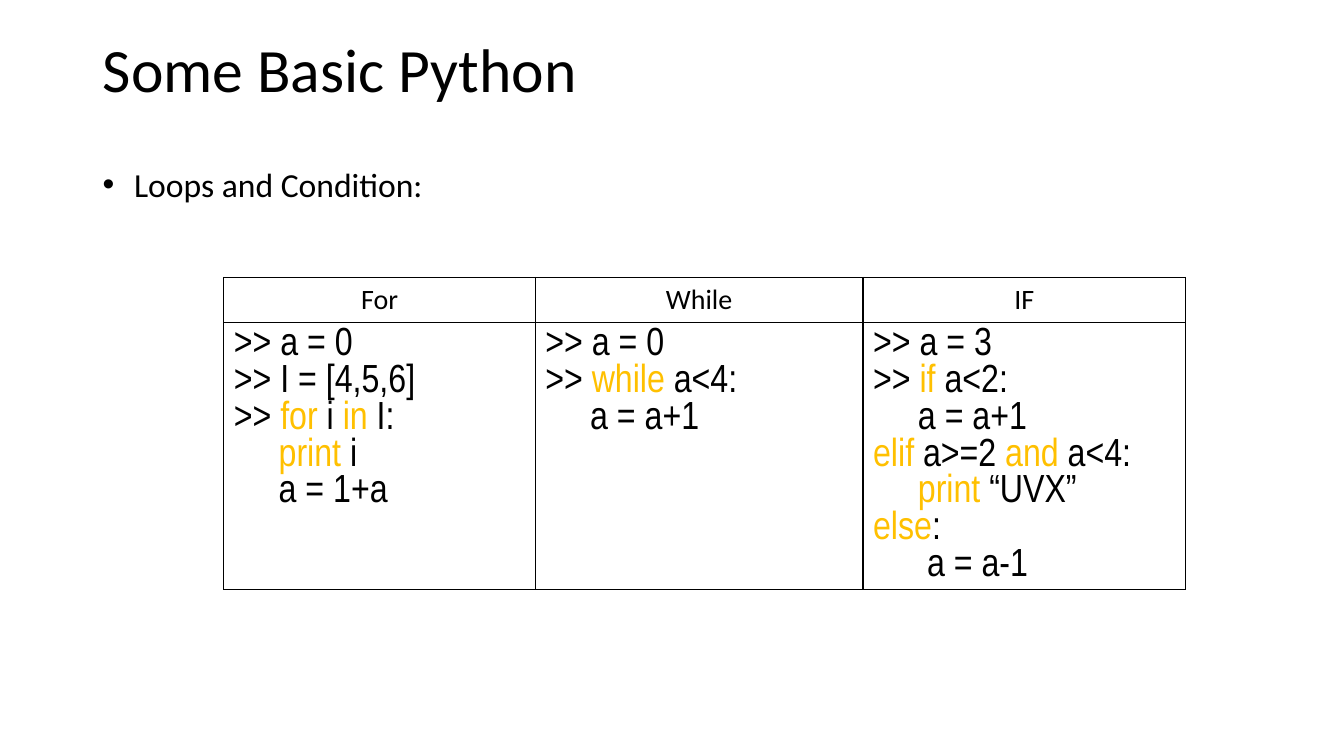
from lxml.etree import SubElement
from pptx import Presentation
from pptx.dml.color import RGBColor
from pptx.enum.text import MSO_ANCHOR, MSO_AUTO_SIZE, PP_ALIGN
from pptx.oxml.ns import qn
from pptx.util import Cm, Pt

COLORS = {"text": "000000", "keyword": "FFC000", "border": "000000"}
HEADING_FONT = "Calibri"
CODE_FONT = "Arial Narrow"
KEYWORD_MARK = "|"
COLUMN_WIDTHS = (7.85, 8.26, 8.13)
ROW_HEIGHTS = (1.13, 6.73)
STEP = 1.13
DEEP_STEP = 1.36

EXAMPLES = {
    "For": [
        (0, ">> a = 0"),
        (0, ">> I = [4,5,6]"),
        (0, ">> |for |i |in| I:"),
        (STEP, "|print |i"),
        (STEP, "a = 1+a"),
    ],
    "While": [
        (0, ">> a = 0"),
        (0, ">> |while| a<4:"),
        (STEP, "a = a+1"),
    ],
    "IF": [
        (0, ">> a = 3"),
        (0, ">> |if| a<2:"),
        (STEP, "a = a+1"),
        (0, "|elif| a>=2 |and| a<4:"),
        (STEP, "|print| “UVX”"),
        (0, "|else|:"),
        (DEEP_STEP, "a = a-1"),
    ],
}


def add_run(paragraph, text, size, font_name, color="text"):
    run = paragraph.add_run()
    run.text = text
    run.font.size = Pt(size)
    run.font.name = font_name
    run.font.color.rgb = RGBColor.from_string(COLORS[color])


def set_indent(paragraph, left, first=0):
    properties = paragraph._p.get_or_add_pPr()
    properties.set("marL", str(Cm(left)))
    properties.set("indent", str(Cm(first)))
    return properties


def place_title(slide, left, top, width, height):
    title = slide.shapes.title
    title.left, title.top, title.width, title.height = map(Cm, (left, top, width, height))
    frame = title.text_frame
    frame.vertical_anchor = MSO_ANCHOR.MIDDLE
    paragraph = frame.paragraphs[0]
    paragraph.alignment = PP_ALIGN.LEFT
    paragraph.line_spacing = 0.9
    add_run(paragraph, "Some Basic Python", 44, HEADING_FONT)


def add_topic(slide, left, top, width, height):
    box = slide.shapes.add_textbox(*map(Cm, (left, top, width, height)))
    frame = box.text_frame
    frame.word_wrap = False
    frame.auto_size = MSO_AUTO_SIZE.SHAPE_TO_FIT_TEXT
    paragraph = frame.paragraphs[0]
    properties = set_indent(paragraph, 0.79, -0.79)
    SubElement(properties, qn("a:buFont"), typeface="Arial")
    SubElement(properties, qn("a:buChar"), char="•")
    add_run(paragraph, "Loops and Condition:", 24, HEADING_FONT)


def format_cell(cell):
    cell.fill.background()
    properties = cell._tc.get_or_add_tcPr()
    for position, side in enumerate(("lnL", "lnR", "lnT", "lnB")):
        line = SubElement(properties, qn(f"a:{side}"), w=str(Pt(1)))
        fill = SubElement(line, qn("a:solidFill"))
        SubElement(fill, qn("a:srgbClr"), val=COLORS["border"])
        properties.insert(position, line)


def write_code(frame, lines):
    for index, (indent, line) in enumerate(lines):
        paragraph = frame.add_paragraph() if index else frame.paragraphs[0]
        set_indent(paragraph, indent)
        for part, text in enumerate(line.split(KEYWORD_MARK)):
            if text:
                add_run(paragraph, text, 28, CODE_FONT, "keyword" if part % 2 else "text")


def add_examples(slide, left, top):
    size = Cm(sum(COLUMN_WIDTHS)), Cm(sum(ROW_HEIGHTS))
    shape = slide.shapes.add_table(len(ROW_HEIGHTS), len(EXAMPLES), Cm(left), Cm(top), *size)
    table = shape.table
    table.first_row = table.horz_banding = False
    for column, width in zip(table.columns, COLUMN_WIDTHS):
        column.width = Cm(width)
    for row, height in zip(table.rows, ROW_HEIGHTS):
        row.height = Cm(height)
    for cell in table.iter_cells():
        format_cell(cell)
    for index, (name, lines) in enumerate(EXAMPLES.items()):
        heading = table.cell(0, index).text_frame.paragraphs[0]
        heading.alignment = PP_ALIGN.CENTER
        add_run(heading, name, 20, HEADING_FONT)
        write_code(table.cell(1, index).text_frame, lines)


def main():
    presentation = Presentation()
    presentation.slide_width = Cm(33.87)
    presentation.slide_height = Cm(19.05)
    slide = presentation.slides.add_slide(presentation.slide_layouts.get_by_name("Title Only"))
    place_title(slide, 2.34, 0, 29.21, 3.68)
    add_examples(slide, 5.64, 6.99)
    add_topic(slide, 2.34, 4.01, 8.66, 1.27)
    presentation.save("out.pptx")


if __name__ == "__main__":
    main()
